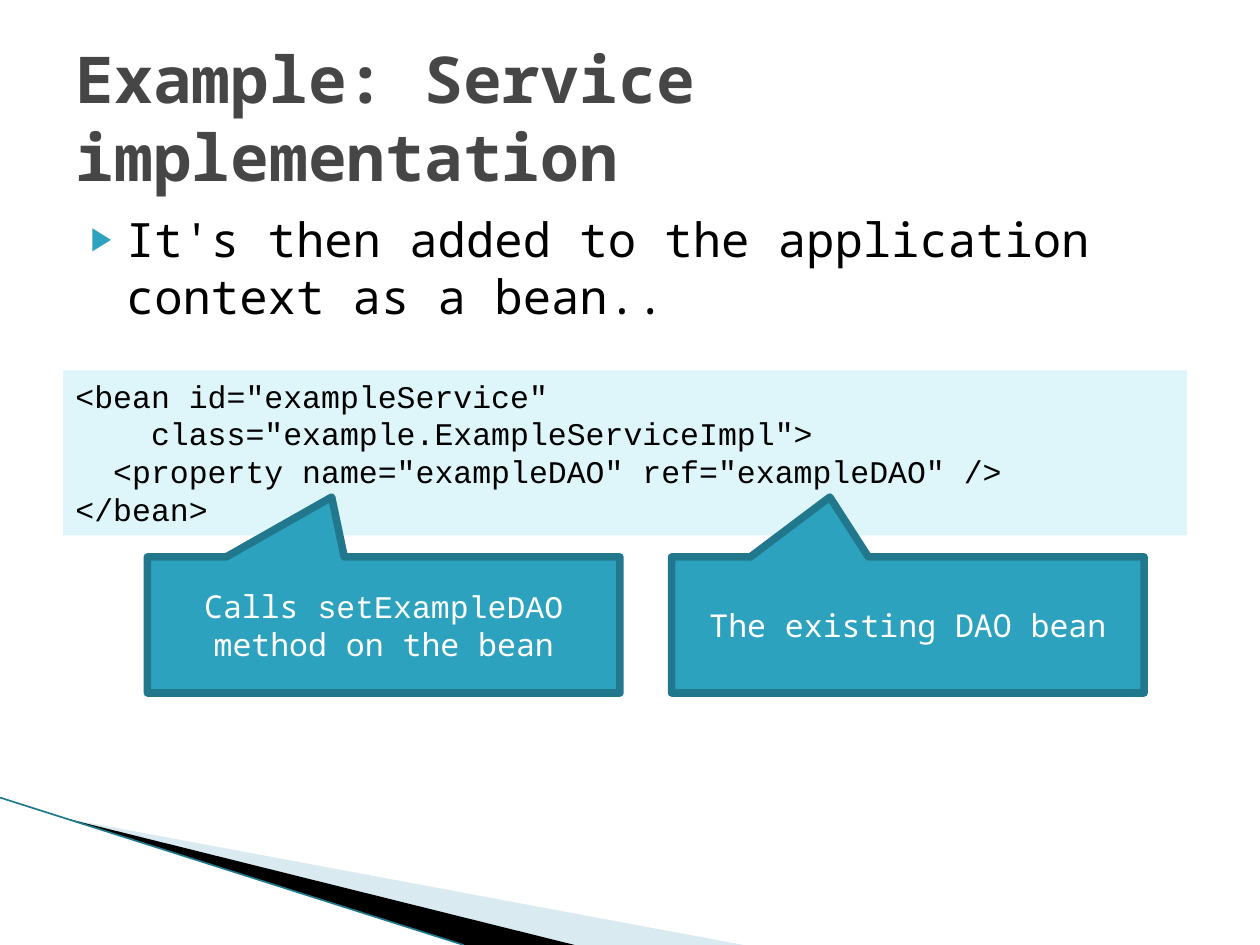
from dataclasses import dataclass

from lxml import etree
from pptx import Presentation
from pptx.dml.color import RGBColor
from pptx.enum.shapes import MSO_CONNECTOR, MSO_SHAPE
from pptx.enum.text import MSO_ANCHOR, MSO_AUTO_SIZE, PP_ALIGN
from pptx.oxml.ns import qn
from pptx.util import Inches, Pt

LEFT, CENTER = PP_ALIGN.LEFT, PP_ALIGN.CENTER
TOP, MIDDLE = MSO_ANCHOR.TOP, MSO_ANCHOR.MIDDLE
NO_AUTOFIT = MSO_AUTO_SIZE.NONE
RECTANGLE, CALLOUT = MSO_SHAPE.RECTANGLE, MSO_SHAPE.RECTANGULAR_CALLOUT
STRAIGHT = MSO_CONNECTOR.STRAIGHT


@dataclass(frozen=True)
class Theme:
    text: str = "000000"
    title: str = "464646"
    accent: str = "2DA2BF"
    accent_dark: str = "21788D"
    code_fill: str = "DEF5FA"
    pale_wedge: str = "A0CBDC"
    light: str = "FFFFFF"
    sans: str = "Noto Sans Mono"
    mono: str = "Courier New"
    title_size: float = 36.9
    body_size: float = 27
    small_size: float = 18


THEME = Theme()


def place(shape, box):
    for side, value in zip(("left", "top", "width", "height"), box):
        setattr(shape, side, Inches(value))


def set_frame(frame, anchor):
    settings = {"word_wrap": True, "auto_size": NO_AUTOFIT, "vertical_anchor": anchor}
    for key, value in settings.items():
        setattr(frame, key, value)


def add_run(paragraph, text, size, color, font=THEME.sans, bold=False):
    run = paragraph.add_run()
    run.text = text
    for key, value in {"name": font, "size": Pt(size), "bold": bold}.items():
        setattr(run.font, key, value)
    run.font.color.rgb = RGBColor.from_string(color)


def paint(shape, fill, outline=None, width=0):
    shape.shadow.inherit = False
    shape.fill.solid()
    shape.fill.fore_color.rgb = RGBColor.from_string(fill)
    if outline:
        shape.line.color.rgb = RGBColor.from_string(outline)
        shape.line.width = Pt(width)
    else:
        shape.line.fill.background()


def set_bullet(paragraph, char, color, percent, margin, hanging):
    properties = paragraph._p.get_or_add_pPr()
    properties.set("marL", str(Inches(margin)))
    properties.set("indent", str(-Inches(hanging)))
    bullet_color = etree.SubElement(properties, qn("a:buClr"))
    etree.SubElement(bullet_color, qn("a:srgbClr"), val=color)
    etree.SubElement(properties, qn("a:buSzPct"), val=str(percent * 1000))
    etree.SubElement(properties, qn("a:buChar"), char=char)


def add_wedge(slide, points, color, opacity=100):
    start, *others = [(Inches(x), Inches(y)) for x, y in points]
    builder = slide.shapes.build_freeform(*start)
    builder.add_line_segments(others)
    wedge = builder.convert_to_shape()
    paint(wedge, color)
    if opacity < 100:
        fill_color = wedge._element.spPr.find(qn("a:solidFill"))[0]
        etree.SubElement(fill_color, qn("a:alpha"), val=str(opacity * 1000))


def add_corner_decoration(slide, box):
    """Sweep two wedges and an edge line down to the bottom of the box."""
    left, top, width, height = box
    bottom = top + height
    tip = (left + 0.54, top + 0.17)
    add_wedge(slide, [tip, (left + width, bottom), (left + 4.56, bottom)],
              THEME.pale_wedge, 40)
    add_wedge(slide, [tip, (left + 4.56, bottom), (left + 3.68, bottom)], THEME.text)
    edge = slide.shapes.add_connector(
        STRAIGHT, Inches(left), Inches(top), Inches(left + 3.68), Inches(bottom))
    edge.line.color.rgb = RGBColor.from_string(THEME.accent_dark)
    edge.line.width = Pt(0.95)
    etree.SubElement(edge._element.spPr, qn("a:effectLst"))


def fill_title(slide, box, text):
    title = slide.shapes.title
    place(title, box)
    set_frame(title.text_frame, MIDDLE)
    paragraph = title.text_frame.paragraphs[0]
    paragraph.alignment = LEFT
    add_run(paragraph, text, THEME.title_size, THEME.title, bold=True)


def fill_body(slide, box, text):
    body = slide.placeholders[1]
    place(body, box)
    set_frame(body.text_frame, TOP)
    paragraph = body.text_frame.paragraphs[0]
    paragraph.space_before = Pt(4)
    set_bullet(paragraph, "▶", THEME.accent, 68, 0.4, 0.28)
    add_run(paragraph, text, THEME.body_size, THEME.text)


def add_code(slide, box, lines):
    panel = slide.shapes.add_shape(RECTANGLE, *map(Inches, box))
    paint(panel, THEME.code_fill)
    frame = panel.text_frame
    set_frame(frame, TOP)
    for number, line in enumerate(lines):
        paragraph = frame.add_paragraph() if number else frame.paragraphs[0]
        paragraph.alignment = LEFT
        add_run(paragraph, line, THEME.small_size, THEME.text, THEME.mono)


def add_callout(slide, box, pointer, parts):
    """Add a callout; pointer is the tip's offset from the centre in box sizes."""
    callout = slide.shapes.add_shape(CALLOUT, *map(Inches, box))
    for index, offset in enumerate(pointer):
        callout.adjustments[index] = offset
    paint(callout, THEME.accent, THEME.accent_dark, 4.33)
    set_frame(callout.text_frame, MIDDLE)
    paragraph = callout.text_frame.paragraphs[0]
    paragraph.alignment = CENTER
    for text, font in parts:
        add_run(paragraph, text, THEME.small_size, THEME.light, font)


def main():
    deck = Presentation()
    deck.slide_width, deck.slide_height = Inches(10), Inches(7.5)
    slide = deck.slides.add_slide(deck.slide_layouts[1])

    add_corner_decoration(slide, (0, 6.33, 5.9, 1.17))
    fill_title(slide, (0.5, 0.3, 9, 1.25), "Example: Service implementation")
    fill_body(slide, (0.5, 1.62, 9, 4.95),
              "It's then added to the application context as a bean..")
    add_code(slide, (0.5, 2.94, 8.92, 1.31), [
        '<bean id="exampleService"',
        '    class="example.ExampleServiceImpl">',
        '  <property name="exampleDAO" ref="exampleDAO" />',
        "</bean>",
    ])
    callouts = [
        (1.17, -0.11, [("Calls ", THEME.sans), ("setExampleDAO ", THEME.mono),
                       ("method on the bean", THEME.sans)]),
        (5.33, -0.165, [("The existing DAO bean", THEME.sans)]),
    ]
    for left, tip_x, parts in callouts:
        add_callout(slide, (left, 4.42, 3.75, 1.08), (tip_x, -0.94), parts)

    deck.save("out.pptx")


if __name__ == "__main__":
    main()
